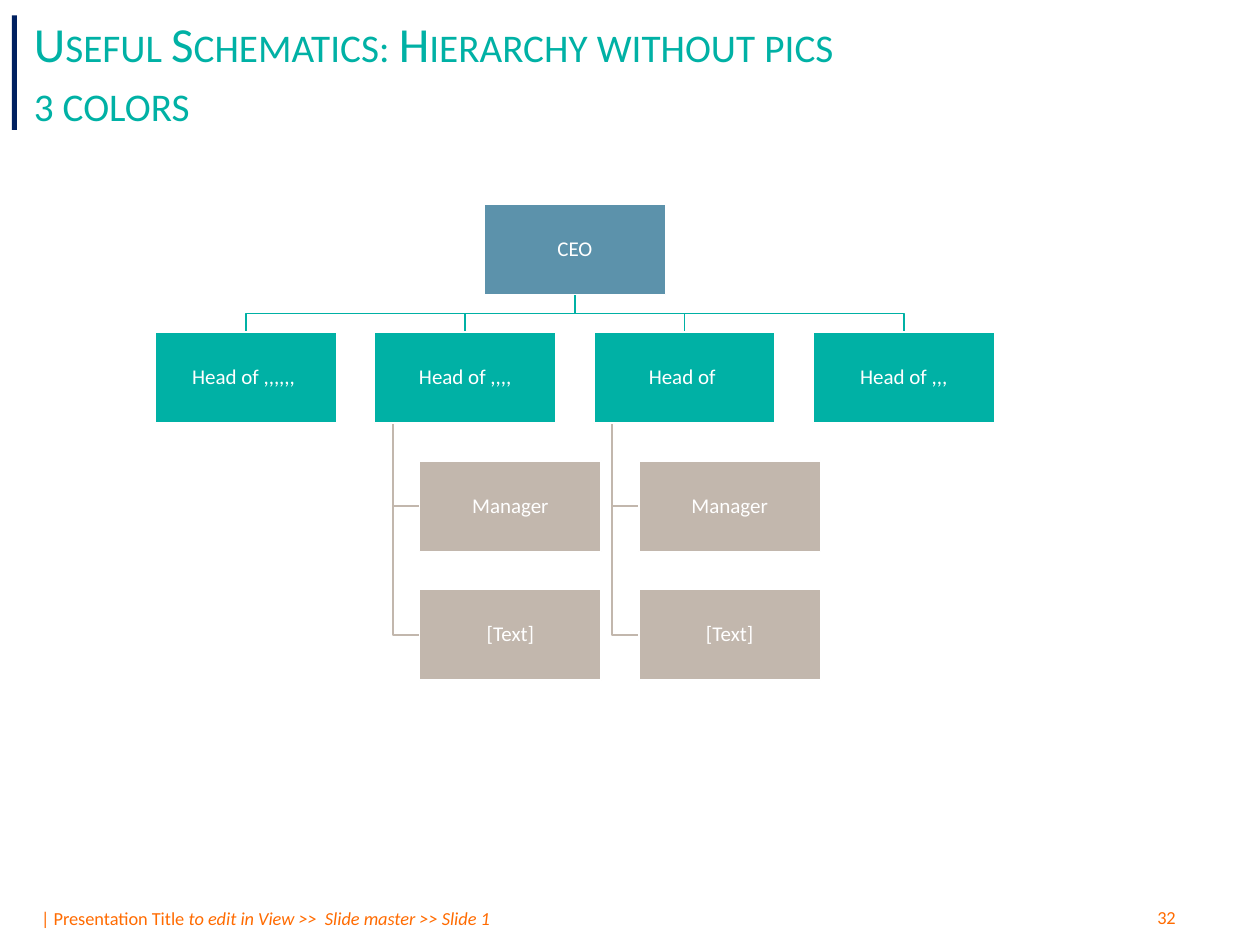
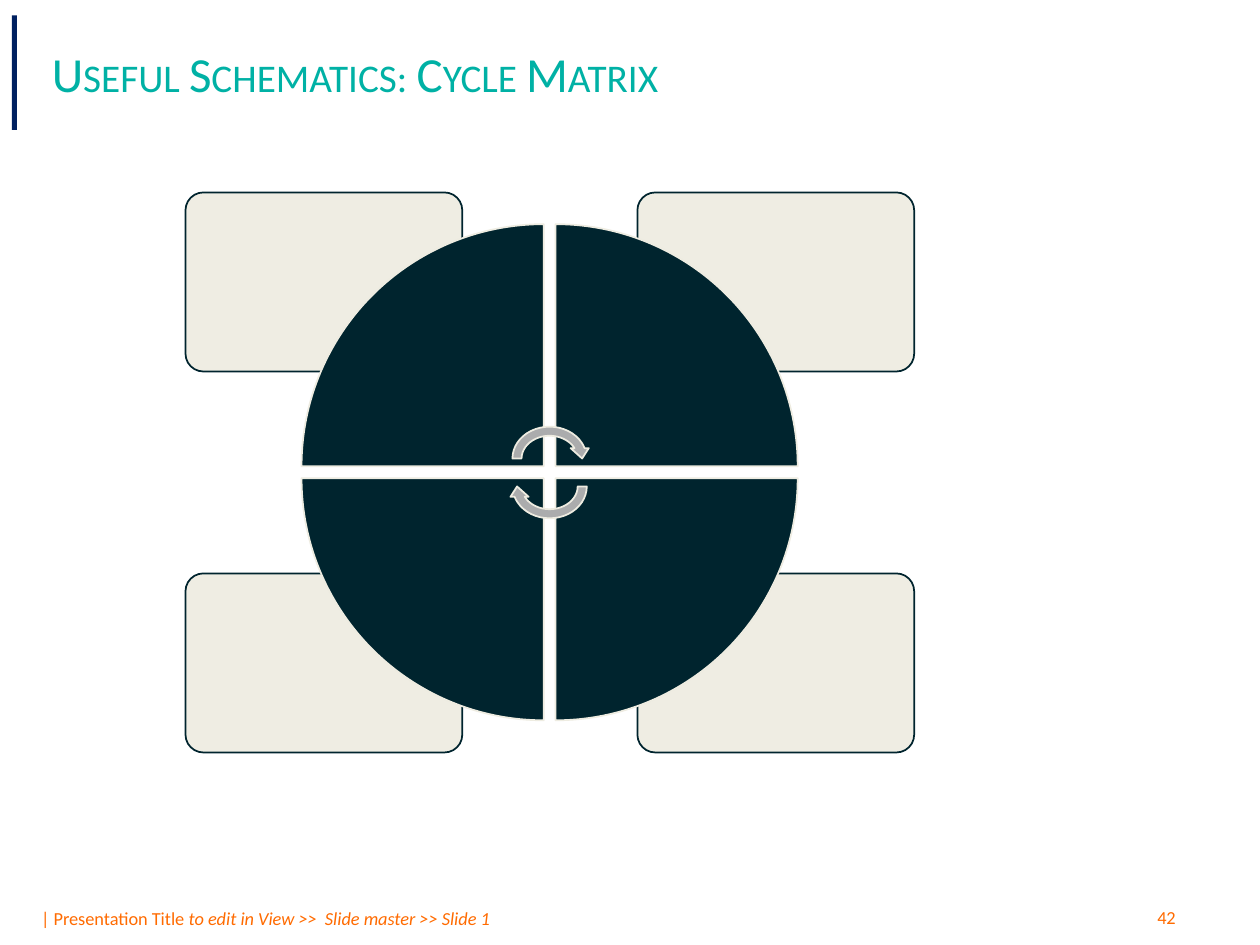
import pptx
import pptx.dml.color
import pptx.enum.shapes
import pptx.enum.text
import pptx.oxml.ns
import pptx.util
from lxml import etree

Cm = pptx.util.Cm
Pt = pptx.util.Pt
SHAPES = pptx.enum.shapes.MSO_SHAPE
ALIGN = pptx.enum.text.PP_ALIGN
ANCHOR = pptx.enum.text.MSO_ANCHOR

TEAL, NAVY, ORANGE, WHITE = "00B1A5", "002060", "FF6B00", "FFFFFF"
BLUE, TAUPE, INK, CREAM, GREY = "5C92AB", "C2B7AD", "00242E", "EEECE1", "ABACAD"


def rgb(code):
    return pptx.dml.color.RGBColor.from_string(code)


def write(frame, runs, size=12, color=WHITE, align=ALIGN.LEFT, anchor=ANCHOR.TOP,
          inset=None, spacing=None, small_caps=False):
    frame.word_wrap = True
    frame.vertical_anchor = anchor
    if inset is not None:
        frame.margin_left = frame.margin_right = Cm(inset)
        frame.margin_top = frame.margin_bottom = Cm(inset)
    paragraph = frame.paragraphs[0]
    paragraph.alignment = align
    if spacing:
        paragraph.line_spacing = spacing
    for text, italic in runs:
        run = paragraph.add_run()
        run.text = text
        run.font.name = "Calibri"
        run.font.size = Pt(size)
        run.font.italic = italic
        run.font.color.rgb = rgb(color)
        if small_caps:
            run.font._element.set("cap", "small")


class Deck:
    def __init__(self):
        self.presentation = pptx.Presentation()
        self.presentation.slide_width = Cm(25.4)
        self.presentation.slide_height = Cm(19.05)
        self.slide = None

    def add_slide(self, title, left, width, number):
        self.slide = self.presentation.slides.add_slide(self.presentation.slide_layouts[5])
        heading = self.slide.shapes.title
        heading.left, heading.top = Cm(left), Cm(0.62)
        heading.width, heading.height = Cm(width), Cm(1.68)
        write(heading.text_frame, [(title, False)], size=28, color=TEAL,
              anchor=ANCHOR.MIDDLE, small_caps=True)
        heading.text_frame.auto_size = pptx.enum.text.MSO_AUTO_SIZE.NONE
        self.shape(SHAPES.RECTANGLE, 0.24, 0.31, 0.1, 2.31, NAVY)
        self.label([("| Presentation Title ", False),
                    ("to edit in View >>  Slide master >> Slide 1", True)], 0.58, 18.16, 20.83)
        self.label([(number, False)], 23.08, 18.14, 2.03)

    def label(self, runs, left, top, width):
        box = self.slide.shapes.add_textbox(Cm(left), Cm(top), Cm(width), Cm(0.71))
        write(box.text_frame, runs, size=10.5, color=ORANGE)

    def shape(self, kind, left, top, width, height, fill, line=None, rotation=0, alpha=None):
        shape = self.slide.shapes.add_shape(kind, Cm(left), Cm(top), Cm(width), Cm(height))
        shape.shadow.inherit = False
        shape.rotation = rotation
        shape.fill.solid()
        shape.fill.fore_color.rgb = rgb(fill)
        if alpha:
            color = shape.fill._xPr.find(".//" + pptx.oxml.ns.qn("a:srgbClr"))
            etree.SubElement(color, pptx.oxml.ns.qn("a:alpha")).set("val", str(alpha * 1000))
        if line:
            shape.line.color.rgb = rgb(line)
            shape.line.width = Pt(1)
        else:
            shape.line.fill.background()
        return shape

    def branch(self, points, color):
        start, *rest = [(Cm(x), Cm(y)) for x, y in points]
        builder = self.slide.shapes.build_freeform(*start)
        builder.add_line_segments(rest, close=False)
        shape = builder.convert_to_shape()
        shape.shadow.inherit = False
        shape.fill.background()
        shape.line.color.rgb = rgb(color)
        shape.line.width = Pt(1)

    def role(self, text, left, top, width, height, fill):
        box = self.shape(SHAPES.RECTANGLE, left, top, width, height, fill, WHITE)
        write(box.text_frame, [(text, False)], align=ALIGN.CENTER,
              anchor=ANCHOR.MIDDLE, inset=0.03, spacing=0.9)


def hierarchy(deck):
    deck.add_slide("Useful Schematics: Hierarchy without pics 3 colors", 0.43, 16.84, "32")
    width, height = 3.66, 1.83
    column_step, row_step = 4.42, 2.59
    heads = ["Head of ,,,,,, ", "Head of ,,,,", "Head of ", "Head of ,,,"]
    teams = {1: ["Manager", "[Text]"], 2: ["Manager", "[Text]"]}
    head_lefts = [3.13 + column_step * i for i in range(len(heads))]
    rows = [4.11 + row_step * i for i in range(4)]
    ceo_left = (head_lefts[0] + head_lefts[-1]) / 2
    ceo_middle = ceo_left + width / 2
    ceo_bottom = rows[0] + height
    fork = (ceo_bottom + rows[1]) / 2
    stem_indent, team_indent = 0.37, 0.91

    for left in head_lefts:
        middle = left + width / 2
        deck.branch([(ceo_middle, ceo_bottom), (ceo_middle, fork),
                     (middle, fork), (middle, rows[1])], TEAL)
    for column, team in teams.items():
        left = head_lefts[column]
        stem = left + stem_indent
        for top in rows[2:2 + len(team)]:
            middle = top + height / 2
            deck.branch([(stem, rows[1] + height), (stem, middle),
                         (left + team_indent, middle)], TAUPE)

    deck.role("CEO", ceo_left, rows[0], width, height, BLUE)
    for column, (head, left) in enumerate(zip(heads, head_lefts)):
        deck.role(head, left, rows[1], width, height, TEAL)
        for member, top in zip(teams.get(column, []), rows[2:]):
            deck.role(member, left + team_indent, top, width, height, TAUPE)


def cycle_matrix(deck):
    deck.add_slide("Useful Schematics: Cycle Matrix", 0.79, 18.77, "42")
    for top in (11.56, 3.88):
        for left in (12.85, 3.74):
            card = deck.shape(SHAPES.ROUNDED_RECTANGLE, left, top, 5.58, 3.61,
                              CREAM, INK, alpha=90)
            card.adjustments[0] = 0.1

    wedge, wedge_step = 4.88, 5.12
    for turn, (column, row) in enumerate([(0, 0), (1, 0), (1, 1), (0, 1)]):
        deck.shape(SHAPES.PIE_WEDGE, 6.08 + wedge_step * column, 4.52 + wedge_step * row,
                   wedge, wedge, INK, CREAM, rotation=90 * turn)
    for top, rotation in ((8.51, 0), (9.07, 180)):
        deck.shape(SHAPES.CIRCULAR_ARROW, 10.24, top, 1.68, 1.47, GREY, CREAM, rotation)


def main():
    deck = Deck()
    hierarchy(deck)
    cycle_matrix(deck)
    deck.presentation.save("out.pptx")


if __name__ == "__main__":
    main()
